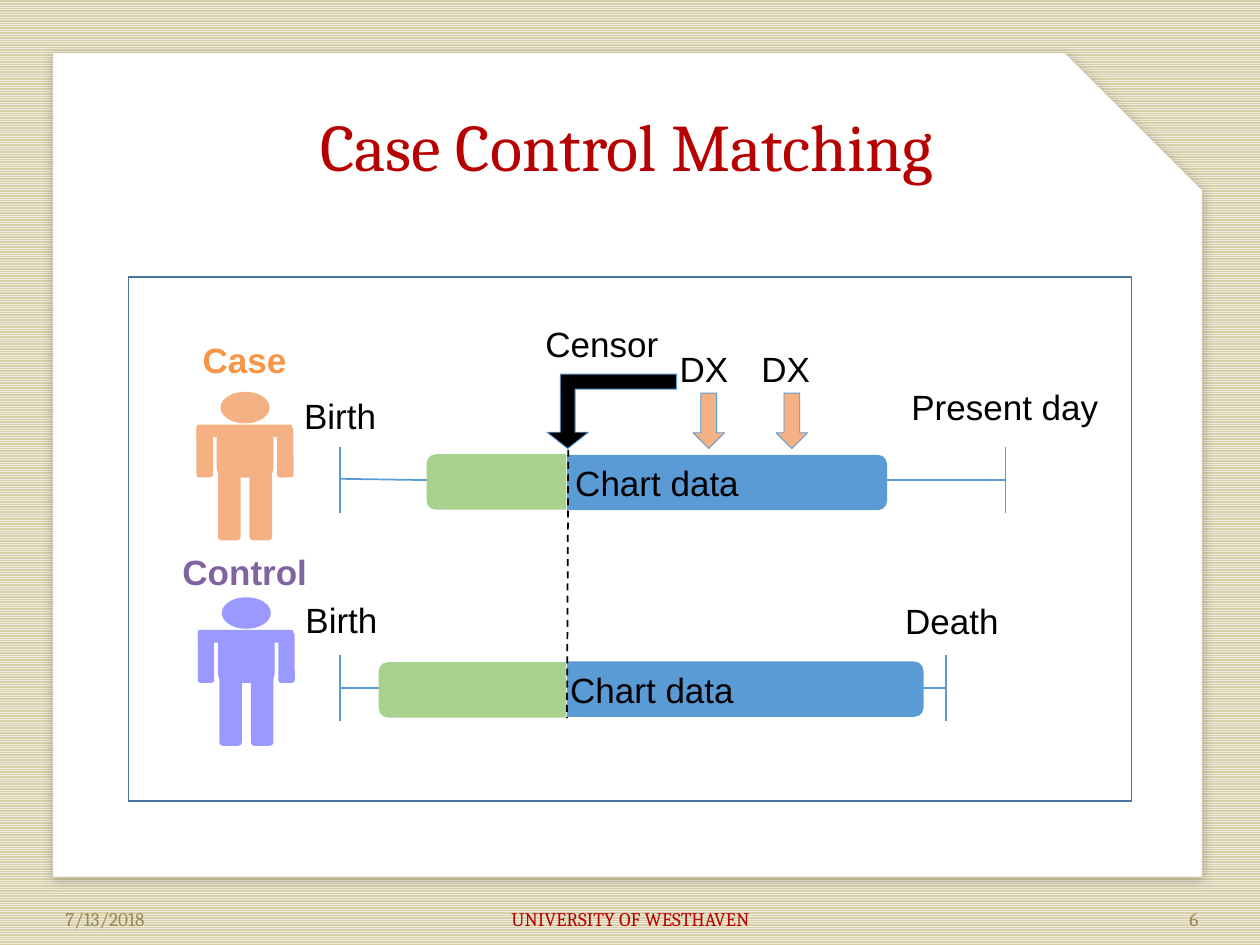
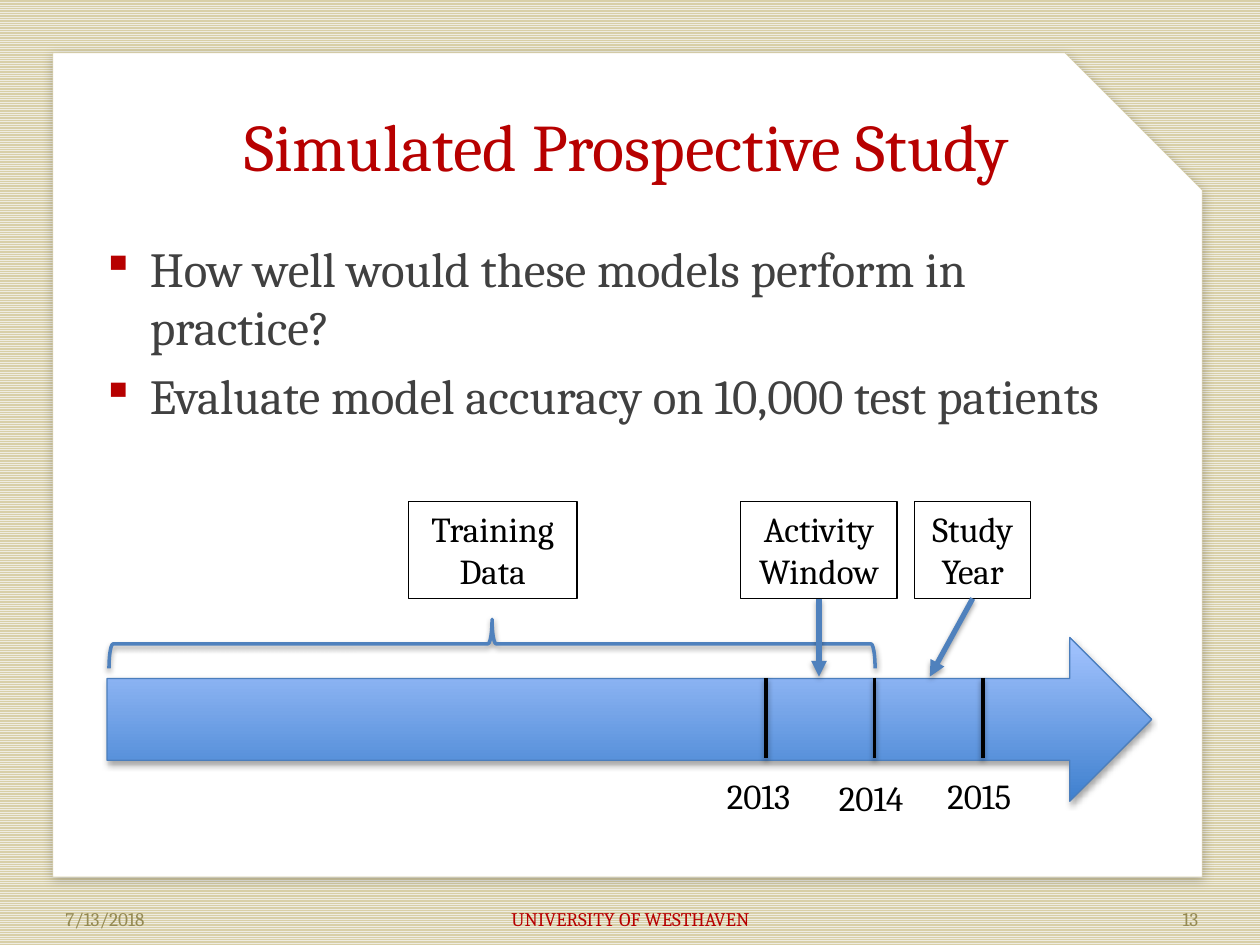
from dataclasses import dataclass

from lxml import etree
from pptx import Presentation
from pptx import util as u
from pptx.dml.color import RGBColor
from pptx.enum import dml, shapes, text
from pptx.oxml.ns import qn

SHAPE = shapes.MSO_SHAPE
ALIGN = text.PP_ALIGN


@dataclass(frozen=True)
class Theme:
    # Colours
    red: str = "B70000"
    sand: str = "D8CFA7"
    cream: str = "EEECE1"
    olive: str = "948A54"
    ink: str = "404040"
    black: str = "000000"
    white: str = "FFFFFF"
    frame: str = "43739E"
    blue: str = "5B9BD5"
    green: str = "A9D18E"
    peach: str = "F4B183"
    violet: str = "9999FF"
    case: str = "F79646"
    control: str = "8064A2"
    accent: str = "4F81BD"
    arrow_edge: str = "4B7EBC"
    arrow_dark: str = "3F80CE"
    arrow_light: str = "A4C4FF"
    # Fonts and sizes
    serif: str = "Cambria"
    sans: str = "Arial"
    title_size: int = 38
    body_size: int = 28
    label_size: int = 20
    footer_size: int = 11
    # Shadows: opacity %, blur pt, distance pt, direction degrees
    card_shadow: tuple = (22, 6, 2, 80)
    arrow_shadow: tuple = (35, 3.1, 1.8, 90)
    line_shadow: tuple = (38, 3.1, 1.6, 90)


THEME = Theme()


def rgb(colour):
    return RGBColor.from_string(colour)


def inches(*lengths):
    return [u.Inches(length) for length in lengths]


# Formatting
def set_shadow(item, shadow=None):
    """Give the item this shadow, or none at all; call after its line is set."""
    properties = item._element.spPr
    for effects in properties.findall(qn("a:effectLst")):
        properties.remove(effects)
    effects = etree.SubElement(properties, qn("a:effectLst"))
    if shadow:
        opacity, blur, distance, direction = shadow
        outer = etree.SubElement(
            effects, qn("a:outerShdw"), blurRad=str(u.Pt(blur)),
            dist=str(u.Pt(distance)), dir=str(direction * 60000),
            algn="ctr", rotWithShape="0")
        colour = etree.SubElement(outer, qn("a:srgbClr"), val=THEME.black)
        etree.SubElement(colour, qn("a:alpha"), val=str(opacity * 1000))


def style_shape(shape, fill=None, line=None, width=1, shadow=None):
    if fill:
        shape.fill.solid()
        shape.fill.fore_color.rgb = rgb(fill)
    else:
        shape.fill.background()
    if line:
        shape.line.color.rgb = rgb(line)
        shape.line.width = u.Pt(width)
    else:
        shape.line.fill.background()
    set_shadow(shape, shadow)


def write(para, words, font=THEME.sans, size=THEME.label_size,
          colour=THEME.black, bold=False, align=ALIGN.CENTER):
    para.alignment = align
    span = para.add_run()
    span.text = words
    span.font.name = font
    span.font.size = u.Pt(size)
    span.font.bold = bold
    span.font.color.rgb = rgb(colour)


def set_bullet(para, mark, colour, percent, indent):
    properties = para._p.get_or_add_pPr()
    properties.set("marL", str(u.Inches(indent)))
    properties.set("indent", str(-u.Inches(indent)))
    holder = etree.SubElement(properties, qn("a:buClr"))
    etree.SubElement(holder, qn("a:srgbClr"), val=colour)
    etree.SubElement(properties, qn("a:buSzPct"), val=str(percent * 1000))
    etree.SubElement(properties, qn("a:buChar"), char=mark)


# Elements
def add_text(page, at, words=None, anchor=text.MSO_ANCHOR.TOP, inset=True,
             **style):
    box = page.shapes.add_textbox(*inches(*at))
    frame = box.text_frame
    frame.word_wrap = True
    frame.vertical_anchor = anchor
    if not inset:
        frame.margin_left = frame.margin_right = 0
        frame.margin_top = frame.margin_bottom = 0
    if words:
        write(frame.paragraphs[0], words, **style)
    return box


def add_shape(page, kind, at, words=None, rotation=0, font=THEME.sans,
              **style):
    shape = page.shapes.add_shape(kind, *inches(*at))
    shape.rotation = rotation
    style_shape(shape, **style)
    if words:
        shape.text_frame.word_wrap = True
        write(shape.text_frame.paragraphs[0], words, font=font)
    return shape


def add_line(page, start, end, colour=THEME.blue, width=1, dashed=False,
             arrow=False, shadow=None, source=None):
    line = page.shapes.add_connector(
        shapes.MSO_CONNECTOR.STRAIGHT, *inches(*start, *end))
    if source is not None:
        line.begin_connect(source, 2)
    line.line.color.rgb = rgb(colour)
    line.line.width = u.Pt(width)
    if dashed:
        line.line.dash_style = dml.MSO_LINE.DASH
    if arrow:
        outline = line._element.spPr.find(qn("a:ln"))
        etree.SubElement(outline, qn("a:tailEnd"), type="triangle")
    set_shadow(line, shadow)


def add_tick(page, x, top, height, **style):
    add_line(page, (x, top), (x, top + height), **style)


def add_bullets(page, at, lines):
    frame = add_text(page, at, inset=False).text_frame
    for index, words in enumerate(lines):
        para = frame.add_paragraph() if index else frame.paragraphs[0]
        write(para, words, font=THEME.serif, size=THEME.body_size,
              colour=THEME.ink, align=ALIGN.LEFT)
        para.space_before = u.Pt(5.6)
        set_bullet(para, "▪", THEME.red, 90, 0.38)


def add_person(page, left, top, colour):
    add_shape(page, SHAPE.OVAL, (left + 0.19, top, 0.39, 0.25), fill=colour)
    limbs_and_torso = [
        (0, 0.28, 0.13, 0.4), (0.64, 0.28, 0.13, 0.4),
        (0.17, 0.62, 0.18, 0.56), (0.42, 0.62, 0.18, 0.56),
        (0.16, 0.27, 0.45, 0.41), (0, 0.26, 0.76, 0.1),
    ]
    for x, y, width, height in limbs_and_torso:
        add_shape(page, SHAPE.ROUNDED_RECTANGLE,
                  (left + x, top + y, width, height), fill=colour)


# Shared by both slides
def set_background(deck):
    fill = deck.slide_master.background.fill
    fill.patterned()
    fill.pattern = dml.MSO_PATTERN.NARROW_HORIZONTAL
    fill.fore_color.rgb = rgb(THEME.cream)
    fill.back_color.rgb = rgb(THEME.sand)


def add_page(deck, title, number):
    page = deck.slides.add_slide(deck.slide_layouts[6])
    # Card with a cut corner
    outline = page.shapes.build_freeform(*inches(0.42, 0.42))
    corners = [(8.45, 0.42), (9.54, 1.51), (9.54, 6.96), (0.42, 6.96)]
    outline.add_line_segments([inches(*corner) for corner in corners])
    style_shape(outline.convert_to_shape(), fill=THEME.white, line=THEME.sand,
                width=0.25, shadow=THEME.card_shadow)
    # Title and footer
    add_text(page, (0.42, 0.83, 9.11, 1.37), title, inset=False,
             font=THEME.serif, size=THEME.title_size, colour=THEME.red)
    footer = [
        (0.42, 2.33, "7/13/2018", THEME.olive, ALIGN.LEFT),
        (3.42, 3.17, "UNIVERSITY OF WESTHAVEN", THEME.red, ALIGN.CENTER),
        (7.28, 2.33, str(number), THEME.olive, ALIGN.RIGHT),
    ]
    for left, width, words, colour, align in footer:
        add_text(page, (left, 7.09, width, 0.4), words,
                 anchor=text.MSO_ANCHOR.MIDDLE, font=THEME.serif,
                 size=THEME.footer_size, colour=colour, align=align)
    return page


# Slides
def build_matching(deck):
    page = add_page(deck, "Case Control Matching", 6)
    add_shape(page, SHAPE.RECTANGLE, (1.02, 2.2, 7.96, 4.16),
              line=THEME.frame)

    # Chart bars, blank before the censor date
    add_line(page, (2.7, 5.46), (7.5, 5.46))
    for at in [(3.39, 3.61, 3.65, 0.44), (3.02, 5.25, 4.31, 0.44)]:
        add_shape(page, SHAPE.ROUNDED_RECTANGLE, at, "Chart data",
                  fill=THEME.blue)
    add_shape(page, SHAPE.RECTANGLE, (3.01, 3.33, 1.49, 2.59),
              fill=THEME.white)

    # People
    add_person(page, 1.56, 3.11, THEME.peach)
    add_person(page, 1.57, 4.74, THEME.violet)

    # Life lines and their end marks
    add_line(page, (2.7, 3.8), (4.01, 3.82))
    add_line(page, (6.65, 3.81), (7.98, 3.81))
    for x, top in [(2.7, 3.55), (7.98, 3.55), (2.7, 5.2), (7.51, 5.2)]:
        add_tick(page, x, top, 0.52)

    # Diagnoses and censoring
    for x in (5.5, 6.16):
        add_shape(page, SHAPE.DOWN_ARROW, (x, 3.12, 0.25, 0.44),
                  fill=THEME.peach, line=THEME.blue, width=0.5)
    censor = add_shape(page, SHAPE.BENT_UP_ARROW, (4.34, 2.97, 1.03, 0.59),
                       rotation=180, fill=THEME.black, line=THEME.blue,
                       width=0.5)
    for index, value in enumerate((0.2, 0.28, 0.22)):
        censor.adjustments[index] = value

    # Data kept before the censor date
    for at in [(3.72, 3.27, 0.44, 1.11), (3.53, 4.73, 0.44, 1.49)]:
        add_shape(page, SHAPE.ROUND_2_SAME_RECTANGLE, at, rotation=270,
                  fill=THEME.green)
    add_line(page, (4.51, 3.57), (4.5, 5.7), colour=THEME.black, dashed=True)

    # Labels
    labels = [
        ("Present day", 7.04, 3.01, 1.87), ("Death", 6.89, 4.71, 1.33),
        ("DX ", 5.15, 2.71, 0.95), ("DX ", 5.8, 2.71, 0.95),
        ("Birth", 2.13, 3.08, 1.14), ("Birth", 2.15, 4.7, 1.12),
    ]
    for words, left, top, width in labels:
        add_text(page, (left, top, width, 0.44), words)
    add_text(page, (4.23, 2.51, 1.41, 0.44), "Censor", align=ALIGN.LEFT)
    groups = [("Case", 1.51, 2.64, THEME.case),
              ("Control", 1.35, 4.32, THEME.control)]
    for words, left, top, colour in groups:
        add_text(page, (left, top, 1.3, 0.44), words, colour=colour,
                 bold=True, align=ALIGN.LEFT)


def build_study(deck):
    page = add_page(deck, "Simulated Prospective Study", 13)
    add_bullets(page, (0.81, 1.89, 8.36, 4.6), [
        "How well would these models perform in practice?",
        "Evaluate model accuracy on 10,000 test patients",
    ])

    # Time arrow
    timeline = add_shape(page, SHAPE.RIGHT_ARROW, (0.85, 5.06, 8.29, 1.3),
                         line=THEME.arrow_edge, width=0.75,
                         shadow=THEME.arrow_shadow)
    timeline.fill.gradient()
    timeline.fill.gradient_angle = 90
    shades = (THEME.arrow_dark, THEME.arrow_light)
    for stop, shade in zip(timeline.fill.gradient_stops, shades):
        stop.color.rgb = rgb(shade)

    # Years
    years = [("2013", 5.67, 6.1), ("2014", 6.56, 6.11), ("2015", 7.42, 6.1)]
    for index, (year, left, top) in enumerate(years):
        add_text(page, (left, top, 0.9, 0.44), year, font=THEME.serif,
                 align=ALIGN.LEFT)
        add_tick(page, 6.08 + 0.86 * index, 5.38, 0.64, colour=THEME.black,
                 width=2, shadow=THEME.line_shadow)

    # Periods: box, then the arrow tip on the timeline
    add_shape(page, SHAPE.LEFT_BRACE, (3.71, 2.07, 0.39, 6.08), rotation=90,
              line=THEME.accent, width=2, shadow=THEME.line_shadow)
    periods = [("Training Data", 3.24, 1.34, None),
               ("Activity Window", 5.88, 1.24, 6.5),
               ("Study Year", 7.26, 0.92, 7.38)]
    for words, left, width, tip in periods:
        box = add_shape(page, SHAPE.RECTANGLE, (left, 3.98, width, 0.77),
                        words, font=THEME.serif, line=THEME.black, width=0.75)
        if tip:
            add_line(page, (left + width / 2, 4.75), (tip, 5.37),
                     colour=THEME.accent, width=3, arrow=True,
                     shadow=THEME.line_shadow, source=box)


def main():
    deck = Presentation()
    deck.slide_width, deck.slide_height = inches(10, 7.5)
    set_background(deck)
    build_matching(deck)
    build_study(deck)
    deck.save("out.pptx")


if __name__ == "__main__":
    main()
